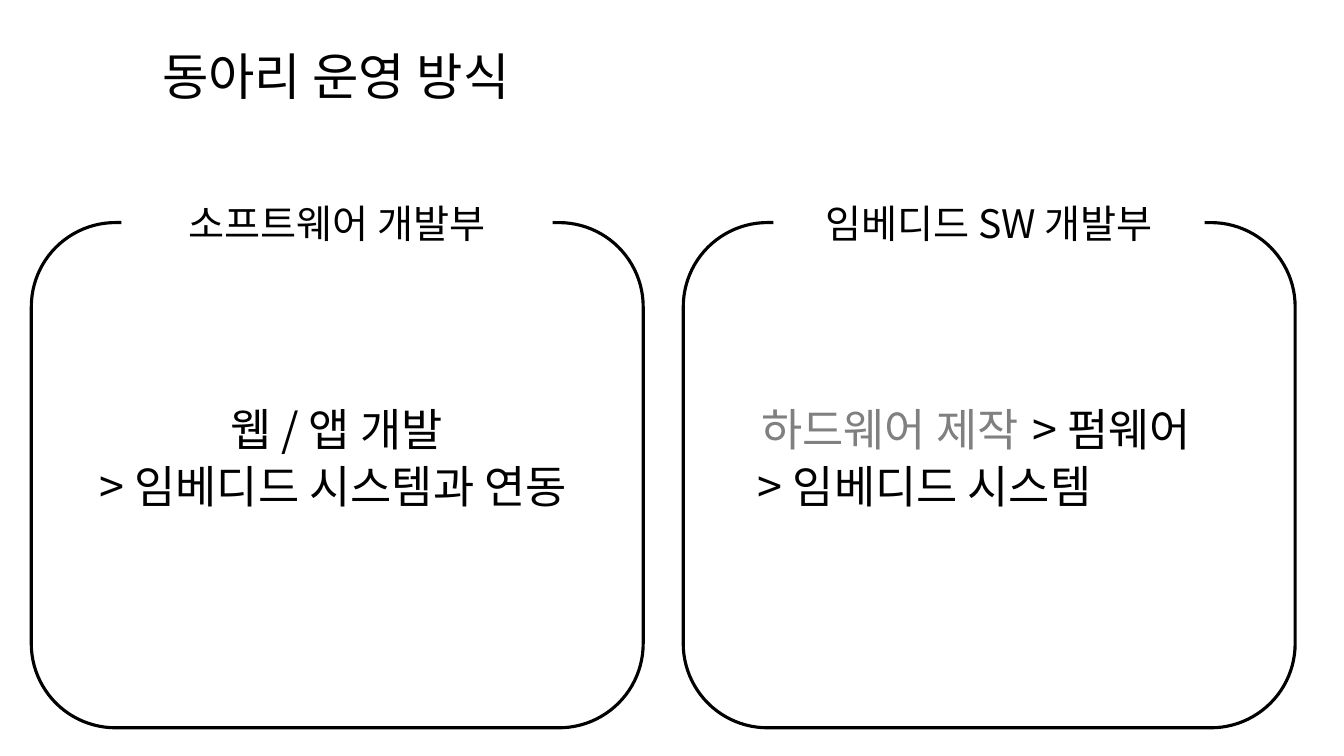
from lxml import etree
from pptx import Presentation
from pptx.dml.color import RGBColor
from pptx.enum import shapes, text
from pptx.oxml import ns
from pptx.util import Cm, Pt

FONT = "Noto Sans CJK KR"
COLORS = {"ink": "000000", "gray": "808080", "paper": "FFFFFF"}
ALIGN = text.PP_ALIGN
ANCHOR = text.MSO_ANCHOR


def paint(name):
    return RGBColor.from_string(COLORS[name])


def write(shape, words, size=32, color="ink", align=ALIGN.LEFT,
          anchor=ANCHOR.TOP, space=None):
    frame = shape.text_frame
    frame.word_wrap = True
    frame.vertical_anchor = anchor
    para = frame.paragraphs[0]
    para.alignment = align
    para.line_spacing = space
    run = para.add_run()
    run.text = words
    run.font.name = FONT
    run.font.size = Pt(size)
    run.font.color.rgb = paint(color)
    asian = etree.SubElement(run.font._element, ns.qn("a:ea"))
    asian.set("typeface", FONT)


def label(slide, left, top, width, height, words, **style):
    box = slide.shapes.add_textbox(Cm(left), Cm(top), Cm(width), Cm(height))
    write(box, words, **style)


def block(slide, kind, left, top, width, height):
    shape = slide.shapes.add_shape(
        kind, Cm(left), Cm(top), Cm(width), Cm(height))
    shape.shadow.inherit = False
    return shape


def panel(slide, left, name):
    frame = block(slide, shapes.MSO_SHAPE.ROUNDED_RECTANGLE,
                  left, 5.61, 15.42, 12.73)
    frame.fill.background()
    frame.line.color.rgb = paint("ink")
    frame.line.width = Pt(2.25)
    tag = block(slide, shapes.MSO_SHAPE.RECTANGLE,
                left + 2.27, 4.95, 10.87, 1.35)
    tag.fill.solid()
    tag.fill.fore_color.rgb = paint("paper")
    tag.line.fill.background()
    write(tag, name, size=28, align=ALIGN.CENTER, anchor=ANCHOR.MIDDLE)


def main():
    deck = Presentation()
    deck.slide_width, deck.slide_height = Cm(33.87), Cm(19.05)
    slide = deck.slides.add_slide(deck.slide_layouts[6])

    label(slide, 3.84, 1.04, 27.43, 1.9, "동아리 운영 방식",
          size=36, anchor=ANCHOR.MIDDLE, space=0.9)

    first, second, high = 10.01, 11.43, 1.63
    label(slide, 4.9, first, 7.16, high, "웹 / 앱 개발", align=ALIGN.CENTER)
    label(slide, 2.26, second, 12.47, high, "> 임베디드 시스템과 연동")
    label(slide, 18.85, first, 7.16, high, "하드웨어 제작",
          color="gray", align=ALIGN.CENTER)
    label(slide, 25.76, first, 7.92, high, "> 펌웨어")
    label(slide, 18.85, second, 9.3, high, "> 임베디드 시스템")

    panel(slide, 0.79, "소프트웨어 개발부")
    panel(slide, 17.22, "임베디드 SW 개발부")
    deck.save("out.pptx")


if __name__ == "__main__":
    main()
